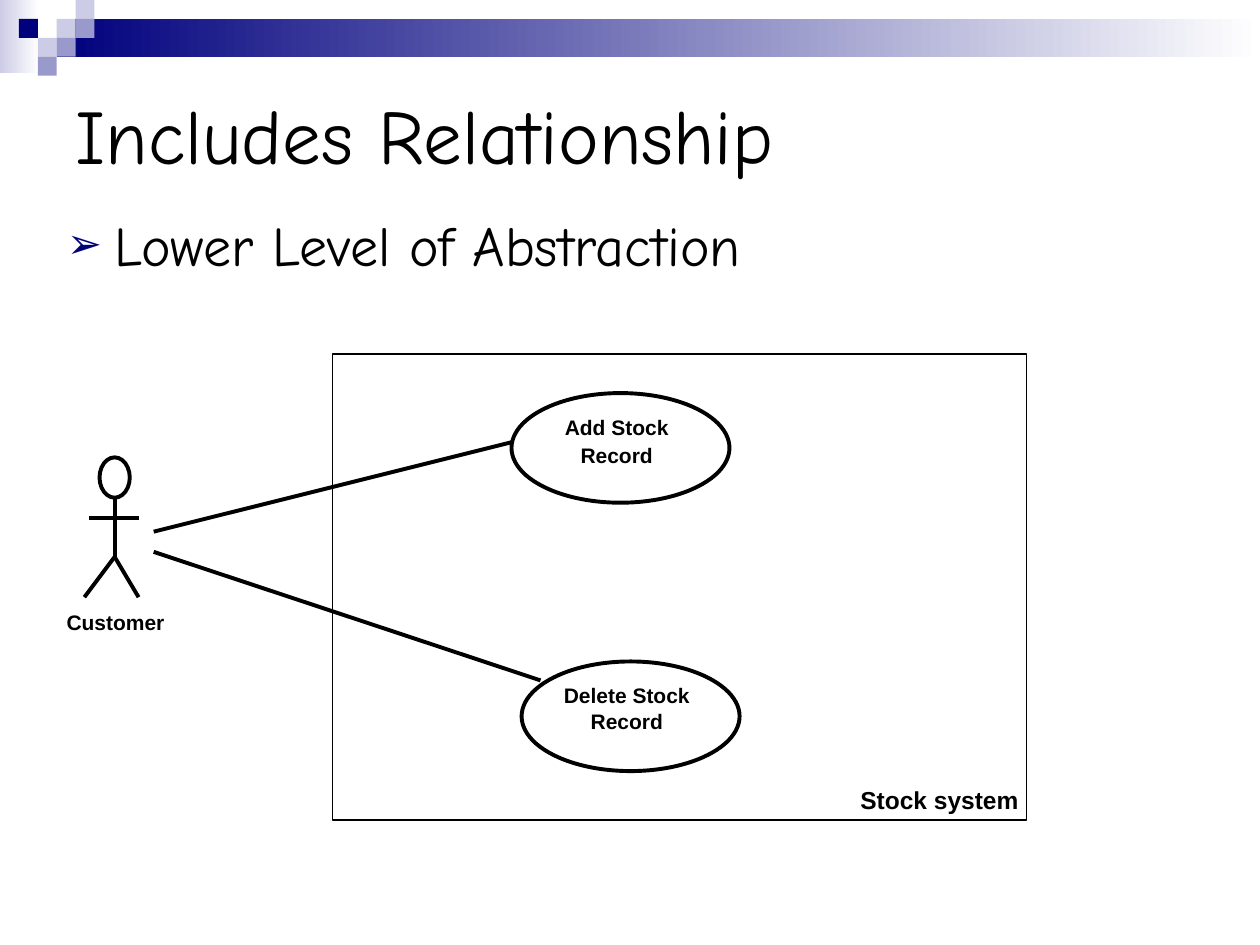
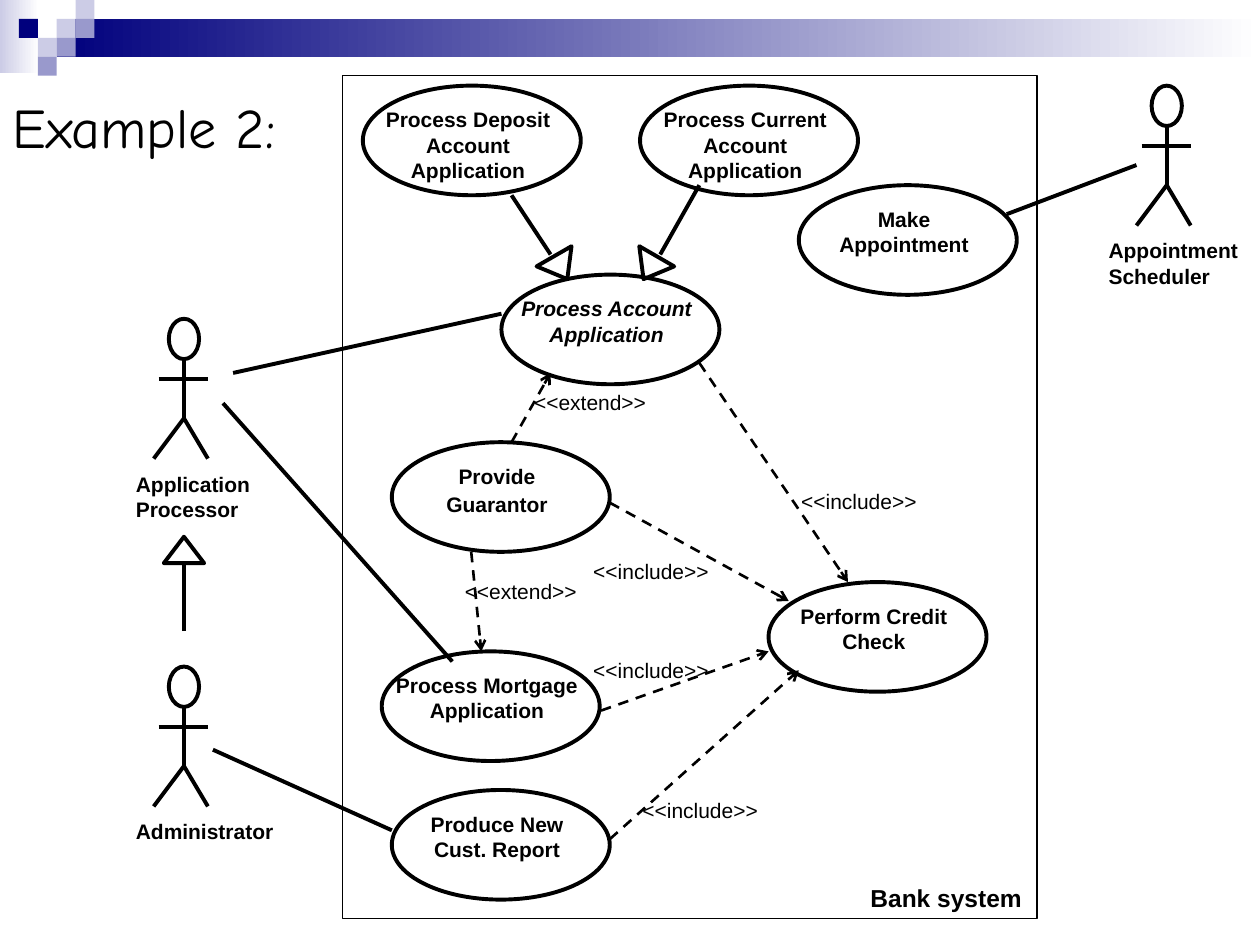
from lxml import etree
from pptx import Presentation
from pptx import util as u
from pptx.dml.color import RGBColor
from pptx.enum import dml, shapes, text
from pptx.oxml import ns

PX = u.Inches(1) // 100  # 100 px to the inch
COLORS = {"ink": "000000", "navy": "00007D", "lilac": "9999CC",
          "pale": "CCCCE6", "white": "FFFFFF"}
DISPLAY, LABEL = "Comic Neue", "Arial"
USE_CASE_SIZE = (173, 87)
TILE = 15
TILES = [(3, 1, "pale"), (4, 0, "pale"), (4, 1, "lilac"), (2, 2, "pale"),
         (1, 1, "navy"), (3, 2, "lilac"), (2, 3, "lilac")]


def rgb(name):
    return RGBColor.from_string(COLORS[name])


def px(*lengths):
    return [u.Emu(length * PX) for length in lengths]


# ---- text ----
def write(frame, *lines, size=12, font=LABEL, bold=False, italic=False,
          align=text.PP_ALIGN.LEFT, gap=1.5):
    frame.word_wrap = True
    frame.auto_size = text.MSO_AUTO_SIZE.NONE
    for i, line in enumerate(lines):
        paragraph = frame.add_paragraph() if i else frame.paragraphs[0]
        paragraph.alignment = align
        paragraph.space_before = u.Pt(gap if i else 0)
        run = paragraph.add_run()
        run.text = line
        run.font.name, run.font.size = font, u.Pt(size)
        run.font.bold, run.font.italic = bold, italic
        run.font.color.rgb = rgb("ink")


def label(parent, box, *lines, **style):
    write(parent.shapes.add_textbox(*px(*box)).text_frame, *lines, **style)


def place(placeholder, box):
    placeholder.left, placeholder.top, placeholder.width, placeholder.height = px(*box)
    return placeholder.text_frame


def title(slide, box, words, size):
    frame = place(slide.shapes.title, box)
    frame.vertical_anchor = text.MSO_ANCHOR.MIDDLE
    write(frame, words, size=size, font=DISPLAY)


def bullet_list(slide, box, *items):
    frame = place(slide.placeholders[1], box)
    write(frame, *items, size=32, font=DISPLAY, gap=8)
    for paragraph in frame.paragraphs:
        props = paragraph._p.get_or_add_pPr()
        props.set("marL", str(38 * PX))
        props.set("indent", str(-38 * PX))
        color = etree.SubElement(props, ns.qn("a:buClr"))
        etree.SubElement(color, ns.qn("a:srgbClr"), val=COLORS["navy"])
        etree.SubElement(props, ns.qn("a:buSzPct"), val="75000")
        etree.SubElement(props, ns.qn("a:buChar"), char="➢")


# ---- basic marks ----
def filled(slide, box, *colors):
    """One colour gives a solid fill, two a left-to-right gradient."""
    block = slide.shapes.add_shape(shapes.MSO_SHAPE.RECTANGLE, *px(*box))
    block.shadow.inherit = False
    block.line.fill.background()
    if len(colors) == 1:
        block.fill.solid()
        block.fill.fore_color.rgb = rgb(colors[0])
        return
    block.fill.gradient()
    block.fill.gradient_angle = 0
    for position, (stop, color) in enumerate(zip(block.fill.gradient_stops, colors)):
        stop.position, stop.color.rgb = position, rgb(color)


def outline(parent, kind, box, weight=2.25, turn=0):
    figure = parent.shapes.add_shape(kind, *px(*box))
    figure.shadow.inherit = False
    figure.fill.background()
    figure.line.color.rgb, figure.line.width = rgb("ink"), u.Pt(weight)
    figure.rotation = turn


def stroke(parent, start, end, weight=2.25):
    link = parent.shapes.add_connector(shapes.MSO_CONNECTOR.STRAIGHT, *px(*start, *end))
    link.line.color.rgb, link.line.width = rgb("ink"), u.Pt(weight)
    etree.SubElement(link._element.spPr, ns.qn("a:effectLst"))
    return link


# ---- use case diagram parts ----
def header_band(slide):
    filled(slide, (0, 0, 31, 58), "pale", "white")
    filled(slide, (45, 15, 955, 30), "navy", "white")
    for column, row, color in TILES:
        filled(slide, (column * TILE, row * TILE, TILE, TILE), color)


def system(slide, box, name):
    left, top, width, height = box
    outline(slide, shapes.MSO_SHAPE.RECTANGLE, box, weight=0.75)
    label(slide, (left + width - 142, top + height - 33, 150, 34), name,
          size=14, bold=True)


def use_case(slide, left, top, *lines, italic=False):
    group = slide.shapes.add_group_shape()
    outline(group, shapes.MSO_SHAPE.OVAL, (left, top, *USE_CASE_SIZE))
    label(group, (left, top + 12, 167, 52), *lines, bold=True, italic=italic,
          align=text.PP_ALIGN.CENTER)


def actor(slide, left, top, name, label_shift=-24):
    group = slide.shapes.add_group_shape()
    outline(group, shapes.MSO_SHAPE.OVAL, (left + 12, top, 24, 32))
    limbs = [((24, 32), (24, 79)), ((0, 111), (24, 79)),
             ((24, 79), (43, 111)), ((4, 48), (43, 48))]
    for (x1, y1), (x2, y2) in limbs:
        stroke(group, (left + x1, top + y1), (left + x2, top + y2))
    label(slide, (left + label_shift, top + 116, 134, 50), name, bold=True)


def dependency(slide, start, end):
    link = stroke(slide, start, end, weight=1.5)
    link.line.dash_style = dml.MSO_LINE.DASH
    etree.SubElement(link.line._get_or_add_ln(), ns.qn("a:tailEnd"), type="arrow")


def generalization(slide, start, end, head, turn=0):
    """A line with a hollow triangle whose unrotated corner is head."""
    stroke(slide, start, end)
    outline(slide, shapes.MSO_SHAPE.ISOSCELES_TRIANGLE, (*head, 32, 21), turn=turn)


# ---- slides ----
def stock_slide(deck):
    slide = deck.slides.add_slide(deck.slide_layouts[1])
    header_band(slide)
    title(slide, (50, 50, 900, 112), "Includes Relationship", 44)
    bullet_list(slide, (43, 162, 900, 110), "Lower Level of Abstraction")

    system(slide, (264, 281, 551, 370), "Stock system")
    use_case(slide, 406, 312, "Add Stock", "Record")
    use_case(slide, 414, 525, "Delete Stock Record")
    actor(slide, 67, 363, "Customer")
    stroke(slide, (122, 422), (406, 351))
    stroke(slide, (122, 438), (429, 540))


def bank_slide(deck):
    slide = deck.slides.add_slide(deck.slide_layouts[5])
    header_band(slide)
    title(slide, (0, 68, 248, 64), "Example 2:", 32)
    system(slide, (272, 60, 551, 669), "Bank system")

    # Use cases
    use_case(slide, 398, 218, "Process Account Application", italic=True)
    for left, top, *lines in [
            (288, 68, "Process Deposit Account Application"),
            (508, 68, "Process Current Account Application"),
            (634, 147, "Make Appointment"),
            (311, 351, "Provide", "Guarantor"),
            (610, 462, "Perform Credit Check"),
            (303, 517, "Process Mortgage Application"),
            (311, 627, "Produce New Cust. Report")]:
        use_case(slide, left, top, *lines)

    # Actors and their associations
    actor(slide, 122, 253, "Application Processor")
    actor(slide, 122, 529, "Administrator")
    actor(slide, 902, 68, "Appointment Scheduler", label_shift=-32)
    for start, end in [((185, 296), (398, 249)), ((177, 320), (359, 525)),
                       ((169, 595), (311, 659)), ((902, 131), (799, 170))]:
        stroke(slide, start, end)

    # Generalizations
    generalization(slide, (146, 501), (146, 446), (130, 426))
    generalization(slide, (406, 155), (437, 202), (429, 202), turn=150)
    generalization(slide, (555, 147), (524, 202), (500, 202), turn=210)

    # Include and extend dependencies, each with its label's corner
    for kind, start, end, corner in [
            ("extend", (406, 351), (437, 296), (414, 304)),
            ("extend", (374, 438), (382, 517), (359, 454)),
            ("include", (555, 288), (673, 462), (626, 383)),
            ("include", (484, 399), (626, 477), (461, 438)),
            ("include", (477, 564), (610, 517), (461, 517)),
            ("include", (484, 666), (634, 532), (500, 628))]:
        dependency(slide, start, end)
        label(slide, (*corner, 142, 30), f"<<{kind}>>")


def main():
    deck = Presentation()
    deck.slide_width, deck.slide_height = px(1000, 750)
    stock_slide(deck)
    bank_slide(deck)
    deck.save("out.pptx")


if __name__ == "__main__":
    main()
